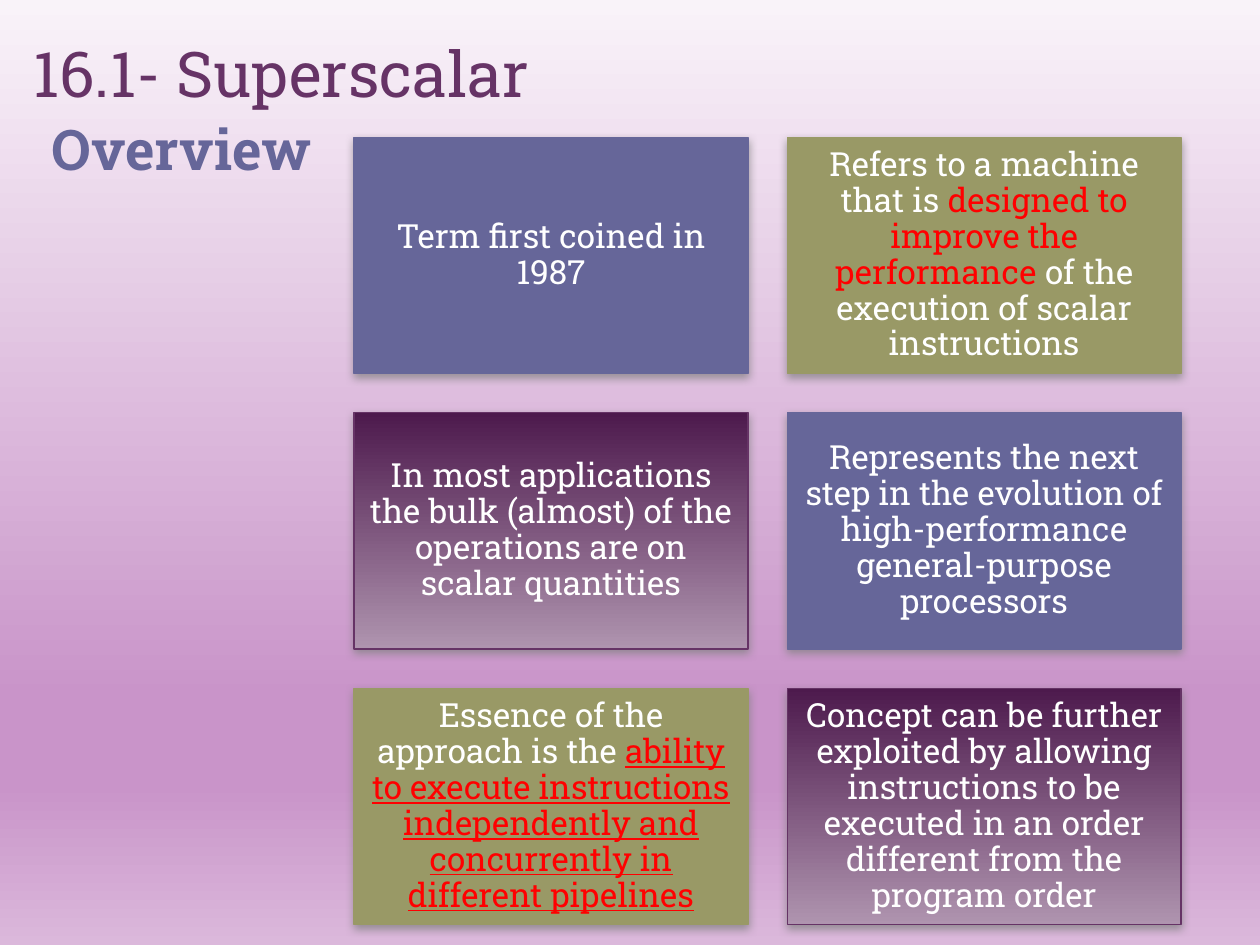
from dataclasses import dataclass
from typing import Any

from lxml.etree import SubElement
from pptx import Presentation
from pptx.dml.color import RGBColor
from pptx.enum.shapes import MSO_SHAPE
from pptx.enum.text import MSO_ANCHOR, PP_ALIGN
from pptx.oxml.ns import qn
from pptx.util import Pt

COLORS = {
    "plum": "663366", "slate": "666699", "olive": "999966",
    "deep": "4D1A4D", "haze": "AF94AF", "white": "FFFFFF", "red": "FF0000",
    "mist": "F9F3F9", "orchid": "C994C9", "lilac": "DBB8DB", "shadow": "808080",
}
FONT = "Roboto Slab"
BACKDROP = [(0, "mist"), (74, "orchid"), (83, "orchid"), (100, "lilac")]
PLUM_FADE = [(0, "deep"), (100, "haze")]
COLUMNS = 2
CARD_LEFT, CARD_TOP = 202.4, 78.4
CARD_WIDTH, CARD_HEIGHT, GAP = 225, 135, 22.5
CARD_FRAME = {
    "word_wrap": True, "vertical_anchor": MSO_ANCHOR.MIDDLE,
    "margin_left": Pt(5.7), "margin_right": Pt(5.7),
    "margin_top": Pt(5.7), "margin_bottom": Pt(5.7),
}
CARD_PARAGRAPH = {"alignment": PP_ALIGN.CENTER, "line_spacing": 0.9}


@dataclass(frozen=True)
class Phrase:
    text: str
    color: str = "white"
    size: float = 19
    bold: bool = False
    underline: bool = False


@dataclass(frozen=True)
class Heading:
    phrase: Phrase
    box: tuple[float, float, float, float]
    frame: dict[str, Any]
    paragraph: dict[str, Any]


HEADINGS = [
    Heading(Phrase("16.1- Superscalar", "plum", 36), (12.3, 12.3, 594.7, 54),
            {"word_wrap": True, "vertical_anchor": MSO_ANCHOR.BOTTOM}, {}),
    Heading(Phrase("Overview", "slate", 32, bold=True), (22.3, 62, 198, 72),
            {"word_wrap": True}, {"space_before": Pt(20)}),
]
CARDS = [
    [Phrase("Term first coined in 1987")],
    [Phrase("Refers to a machine that is "),
     Phrase("designed to improve the performance ", "red"),
     Phrase("of the execution of scalar instructions")],
    [Phrase("In most applications the bulk (almost) of the operations are on "
            "scalar quantities")],
    [Phrase("Represents the next step in the evolution of high-performance "
            "general-purpose processors")],
    [Phrase("Essence of the approach is the "),
     Phrase("ability to execute instructions independently and concurrently "
            "in different pipelines", "red", underline=True)],
    [Phrase("Concept can be further exploited by allowing instructions to be "
            "executed in an order different from the program order")],
]
CARD_COLORS = ["slate", "olive", "plum"]


def rgb(name: str) -> RGBColor:
    return RGBColor.from_string(COLORS[name])


def apply(target: Any, formats: dict[str, Any]) -> None:
    for attribute, value in formats.items():
        setattr(target, attribute, value)


def paint_gradient(owner: Any, fill: Any, stops: list[tuple[int, str]]) -> None:
    fill.gradient()
    fill.gradient_angle = 270
    stop_list = owner.element.find(".//" + qn("a:gsLst"))
    stop_list.clear()
    for percent, color in stops:
        stop = SubElement(stop_list, qn("a:gs"), pos=str(percent * 1000))
        SubElement(stop, qn("a:srgbClr"), val=COLORS[color])


def add_shadow(card: Any) -> None:
    card.shadow.inherit = False
    effects = card.element.spPr.find(qn("a:effectLst"))
    outer = SubElement(effects, qn("a:outerShdw"), blurRad=str(Pt(5)),
                       dist=str(Pt(2)), dir="5400000", rotWithShape="0")
    tint = SubElement(outer, qn("a:srgbClr"), val=COLORS["shadow"])
    SubElement(tint, qn("a:alpha"), val="75000")


def write(frame: Any, phrases: list[Phrase], frame_formats: dict[str, Any],
          paragraph_formats: dict[str, Any]) -> None:
    apply(frame, frame_formats)
    paragraph = frame.paragraphs[0]
    apply(paragraph, paragraph_formats)
    for phrase in phrases:
        run = paragraph.add_run()
        run.text = phrase.text
        apply(run.font, {"name": FONT, "size": Pt(phrase.size),
                         "bold": phrase.bold, "underline": phrase.underline})
        run.font.color.rgb = rgb(phrase.color)


def add_card(slide: Any, index: int, phrases: list[Phrase]) -> None:
    row, column = divmod(index, COLUMNS)
    card = slide.shapes.add_shape(
        MSO_SHAPE.RECTANGLE,
        Pt(CARD_LEFT + column * (CARD_WIDTH + GAP)),
        Pt(CARD_TOP + row * (CARD_HEIGHT + GAP)),
        Pt(CARD_WIDTH), Pt(CARD_HEIGHT))
    color = CARD_COLORS[index % len(CARD_COLORS)]
    if color == "plum":
        paint_gradient(card, card.fill, PLUM_FADE)
    else:
        card.fill.solid()
        card.fill.fore_color.rgb = rgb(color)
    card.line.color.rgb = rgb(color)
    card.line.width = Pt(0.75)
    add_shadow(card)
    write(card.text_frame, phrases, CARD_FRAME, CARD_PARAGRAPH)


def add_heading(slide: Any, heading: Heading) -> None:
    label = slide.shapes.add_textbox(*map(Pt, heading.box))
    write(label.text_frame, [heading.phrase], heading.frame, heading.paragraph)


def main() -> None:
    """Build the superscalar overview slide."""
    deck = Presentation()
    apply(deck, {"slide_width": Pt(720), "slide_height": Pt(540)})
    slide = deck.slides.add_slide(deck.slide_layouts[6])
    paint_gradient(slide, slide.background.fill, BACKDROP)
    for heading in HEADINGS:
        add_heading(slide, heading)
    for index, phrases in enumerate(CARDS):
        add_card(slide, index, phrases)
    deck.save("out.pptx")


if __name__ == "__main__":
    main()
